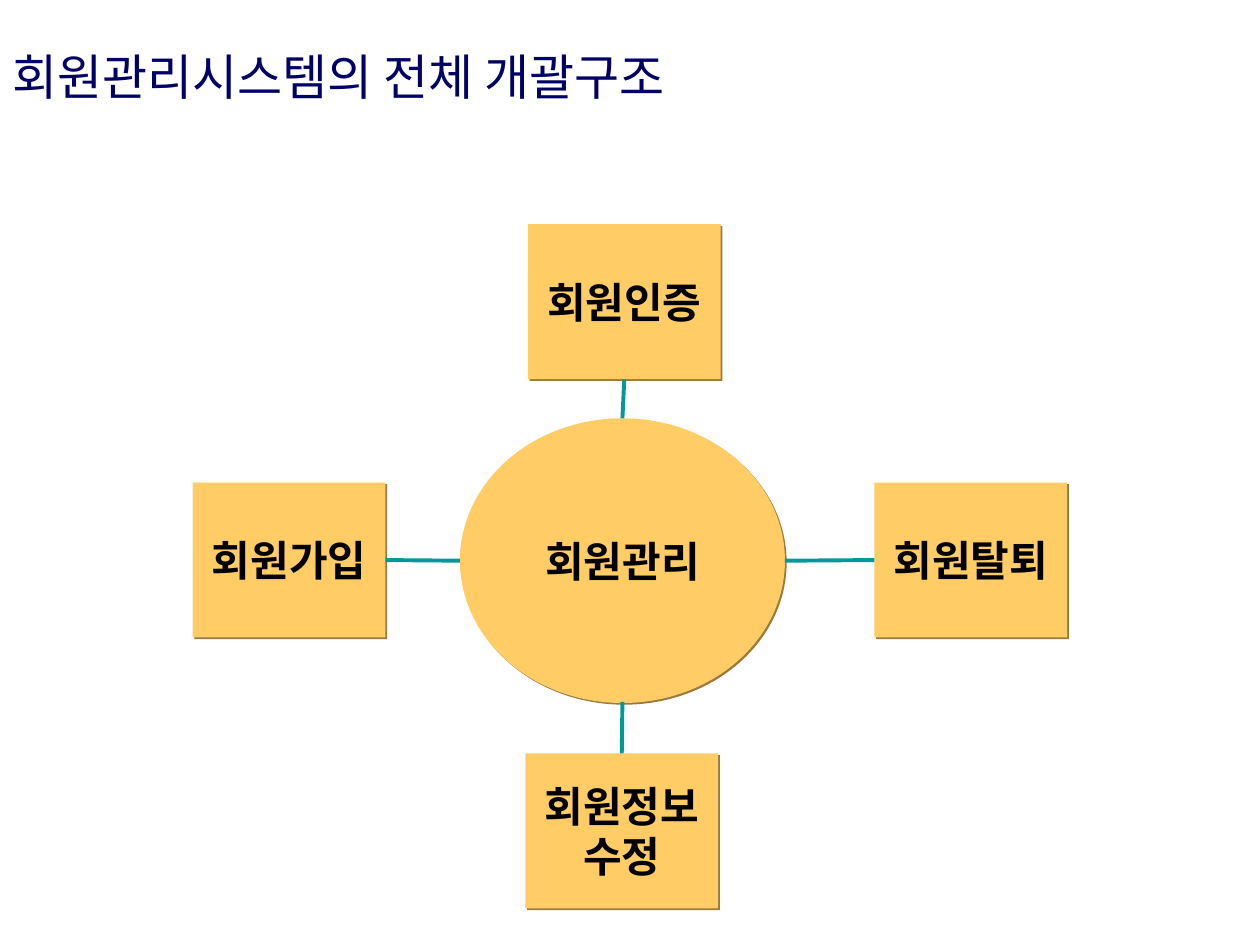
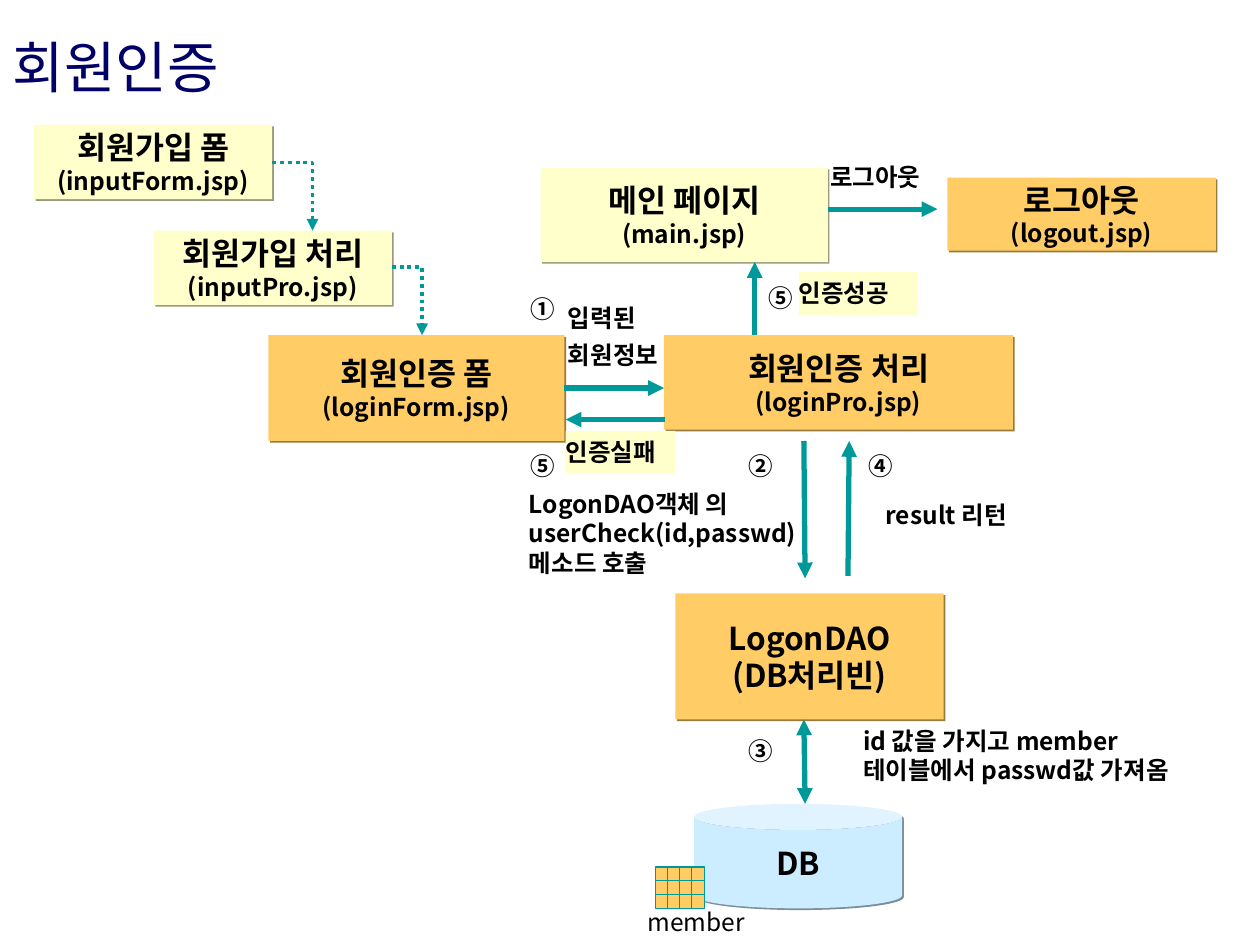
from itertools import product

from lxml.etree import SubElement
from pptx import Presentation
from pptx.dml.color import RGBColor
from pptx.enum.dml import MSO_LINE
from pptx.enum.shapes import MSO_CONNECTOR as Link, MSO_SHAPE as Form
from pptx.enum.text import MSO_ANCHOR as Anchor, MSO_AUTO_SIZE as Fit, PP_ALIGN as Align
from pptx.oxml.ns import qn
from pptx.util import Inches, Pt

COLORS = {
    "title": "000066", "text": "010000", "link": "009999",
    "step": "FFCC66", "step_shadow": "997A3D",
    "page": "FFFFCC", "page_shadow": "99997A",
    "store": "CCECFF", "store_shadow": "7A8E99",
}
FONT = "Noto Sans CJK KR"
COLUMNS, ROWS = 100, 75
TOP, LEFT, BOTTOM, RIGHT = range(4)


def color(name):
    return RGBColor.from_string(COLORS[name])


def apply(target, formats):
    for attribute, value in formats.items():
        setattr(target, attribute, value)


class Deck:
    def __init__(self):
        self.deck = Presentation()
        apply(self.deck, {"slide_width": Inches(10), "slide_height": Inches(7.5)})
        self.slide = None

    def grid(self, *lengths):
        units = (self.deck.slide_width / COLUMNS, self.deck.slide_height / ROWS)
        return [round(length * units[i % 2]) for i, length in enumerate(lengths)]

    def fill_text(self, shape, lines, frame, paragraph, ink="text", bold=True):
        text = shape.text_frame
        apply(text, frame)
        for i, (words, size) in enumerate(lines):
            line = text.paragraphs[0] if i == 0 else text.add_paragraph()
            apply(line, paragraph)
            run = line.add_run()
            run.text = words
            apply(run.font, {"name": FONT, "size": Pt(size), "bold": bold})
            run.font.color.rgb = color(ink)
            SubElement(run.font._element, qn("a:ea"), typeface=FONT)

    def page(self, title, size, *place):
        self.slide = self.deck.slides.add_slide(self.deck.slide_layouts[5])
        heading = self.slide.shapes.title
        apply(heading, dict(zip(("left", "top", "width", "height"), self.grid(*place))))
        self.fill_text(heading, [(title, size)],
                       {"vertical_anchor": Anchor.MIDDLE, "auto_size": Fit.NONE},
                       {"alignment": Align.LEFT, "line_spacing": 0.7}, "title", False)

    def shape(self, form, fill, place):
        shape = self.slide.shapes.add_shape(form, *self.grid(*place))
        shape.shadow.inherit = False
        shape.fill.solid()
        shape.fill.fore_color.rgb = color(fill)
        shape.line.fill.background()
        return shape

    def node(self, lines, *place, fill="step", form=Form.RECTANGLE):
        node = self.shape(form, fill, place)
        effects = node._element.spPr.find(qn("a:effectLst"))
        shadow = SubElement(effects, qn("a:outerShdw"), dist=str(Pt(1.4)),
                            dir="2700000", algn="ctr", rotWithShape="0")
        SubElement(shadow, qn("a:srgbClr"), val=COLORS[fill + "_shadow"])
        self.fill_text(node, lines, {"vertical_anchor": Anchor.MIDDLE, "word_wrap": False},
                       {"alignment": Align.CENTER})
        return node

    def cell(self, *place):
        cell = self.shape(Form.RECTANGLE, "step", place)
        cell.line.color.rgb = color("link")
        cell.line.width = Pt(0.75)

    def label(self, lines, *place, inset=(0.1, 0.05), spacing=None, fill=None, bold=True):
        label = self.slide.shapes.add_textbox(*self.grid(*place))
        if fill:
            label.fill.solid()
            label.fill.fore_color.rgb = color(fill)
        side, end = map(Inches, inset)
        self.fill_text(label, [(line, 14) for line in lines],
                       {"word_wrap": True, "auto_size": Fit.SHAPE_TO_FIT_TEXT,
                        "margin_left": side, "margin_right": side,
                        "margin_top": end, "margin_bottom": end},
                       {"space_before": Pt(8.8), "line_spacing": spacing}, bold=bold)

    def link(self, *ends, width=3, heads=("tailEnd",), bent=False, start=None, finish=None):
        link = self.slide.shapes.add_connector(
            Link.ELBOW if bent else Link.STRAIGHT, *self.grid(*ends))
        if start:
            link.begin_connect(*start)
        if finish:
            link.end_connect(*finish)
        link.line.color.rgb = color("link")
        link.line.width = Pt(width)
        properties = link._element.spPr
        if bent:
            link.line.dash_style = MSO_LINE.ROUND_DOT
            properties.find(qn("a:prstGeom")).set("prst", "bentConnector2")
        for head in heads:
            SubElement(properties.find(qn("a:ln")), qn("a:" + head), type="triangle")
        SubElement(properties, qn("a:effectLst"))


def overview(deck):
    deck.page("회원관리시스템의 전체 개괄구조", 28, 0, 2.1, 64.2, 9)
    deck.node([("회원관리", 24)], 36.5, 33.2, 25.8, 22.6, form=Form.OVAL)
    functions = (
        (("회원인증",), 41.9, 17.8, BOTTOM, 49.4, 33.2),
        (("회원정보", "수정"), 41.7, 59.8, TOP, 49.4, 55.7),
        (("회원탈퇴",), 69.4, 38.3, LEFT, 62.3, 44.5),
        (("회원가입",), 15.3, 38.3, RIGHT, 36.5, 44.5),
    )
    for names, left, top, side, hub_x, hub_y in functions:
        node = deck.node([(name, 24) for name in names], left, top, 15.3, 12.3)
        deck.link(hub_x, hub_y, hub_x, hub_y, width=2.25, heads=(), finish=(node, side))


def login_flow(deck):
    deck.page("회원인증", 32, 0, 0, 39.4, 11.8)
    pages = (
        ("회원가입 처리", "(inputPro.jsp)", 12.2, 18.3, 18.9, 5.9),
        ("회원가입 폼", "(inputForm.jsp)", 2.7, 9.9, 18.9, 5.9),
        ("메인 페이지", "(main.jsp)", 42.9, 13.3, 22.8, 7.5),
    )
    for name, file, *place in pages:
        deck.node([(name, 18), (file, 14)], *place, fill="page")
    steps = (
        ("회원인증 처리", "(loginPro.jsp)", 52.7, 26.6, 27.7, 7.5),
        ("로그아웃", "(logout.jsp)", 75.2, 14.1, 21.3, 5.8),
        ("회원인증 폼", "(loginForm.jsp)", 21.3, 26.6, 23.5, 8.4),
    )
    for name, file, *place in steps:
        login_form = deck.node([(name, 18), (file, 14)], *place)
    deck.node([("LogonDAO", 18), ("(DB처리빈)", 18)], 53.6, 47.1, 21.3, 10)
    deck.node([("DB", 18)], 55.1, 63.8, 16.5, 8.3, fill="store", form=Form.CAN)
    for row, column in product(range(3), range(4)):
        deck.cell(52 + 0.97 * column, 68.8 + 1.1 * row, 1, 1.1)

    deck.link(44.8, 30.8, 52.7, 30.8, start=(login_form, RIGHT))
    for ends in ((52.8, 33.3, 44.9, 33.3), (59.9, 26.6, 59.9, 20.8),
                 (63.8, 35, 63.9, 45.9), (67.3, 45.7, 67.4, 35), (65.7, 16.6, 74.4, 16.6)):
        deck.link(*ends)
    deck.link(63.9, 63.8, 63.8, 57.1, heads=("headEnd", "tailEnd"))
    for ends in ((21.6, 12.9, 24.8, 18.3), (31.1, 21.2, 33.5, 26.6)):
        deck.link(*ends, width=2.25, bent=True)

    deck.label(["LogonDAO객체 의 userCheck(id,passwd)메소드 호출"], 41, 38.3, 23.6, 8)
    deck.label(["입력된", "회원정보"], 44.1, 24.1, 11, 5.7, spacing=0.75)
    deck.label(["id 값을 가지고 member 테이블에서 passwd값 가져옴"],
               68.5, 57.1, 26, 5.7, inset=(0, 0.05))
    deck.label(["result 리턴"], 69.3, 39.2, 11.8, 5.7)
    deck.label(["로그아웃"], 64.9, 12.4, 11.8, 3.4)
    deck.label(["member"], 50.4, 71.5, 10.2, 3.4, bold=False)
    for outcome, *place in (("인증성공", 63.4, 21.6, 9.4, 3.4),
                            ("인증실패", 44.9, 34.2, 8.7, 3.4)):
        deck.label([outcome], *place, inset=(0, 0.05), fill="page")
    for number, left, top in (("①", 42.1, 23.3), ("②", 59.4, 35.8), ("③", 59.4, 58.4),
                              ("④", 68.9, 35.8), ("⑤", 61, 22.5), ("⑤", 42.1, 35.8)):
        deck.label([number], left, top, 2.4, 2.3, inset=(0, 0))


def main():
    deck = Deck()
    overview(deck)
    login_flow(deck)
    deck.deck.save("out.pptx")


if __name__ == "__main__":
    main()
